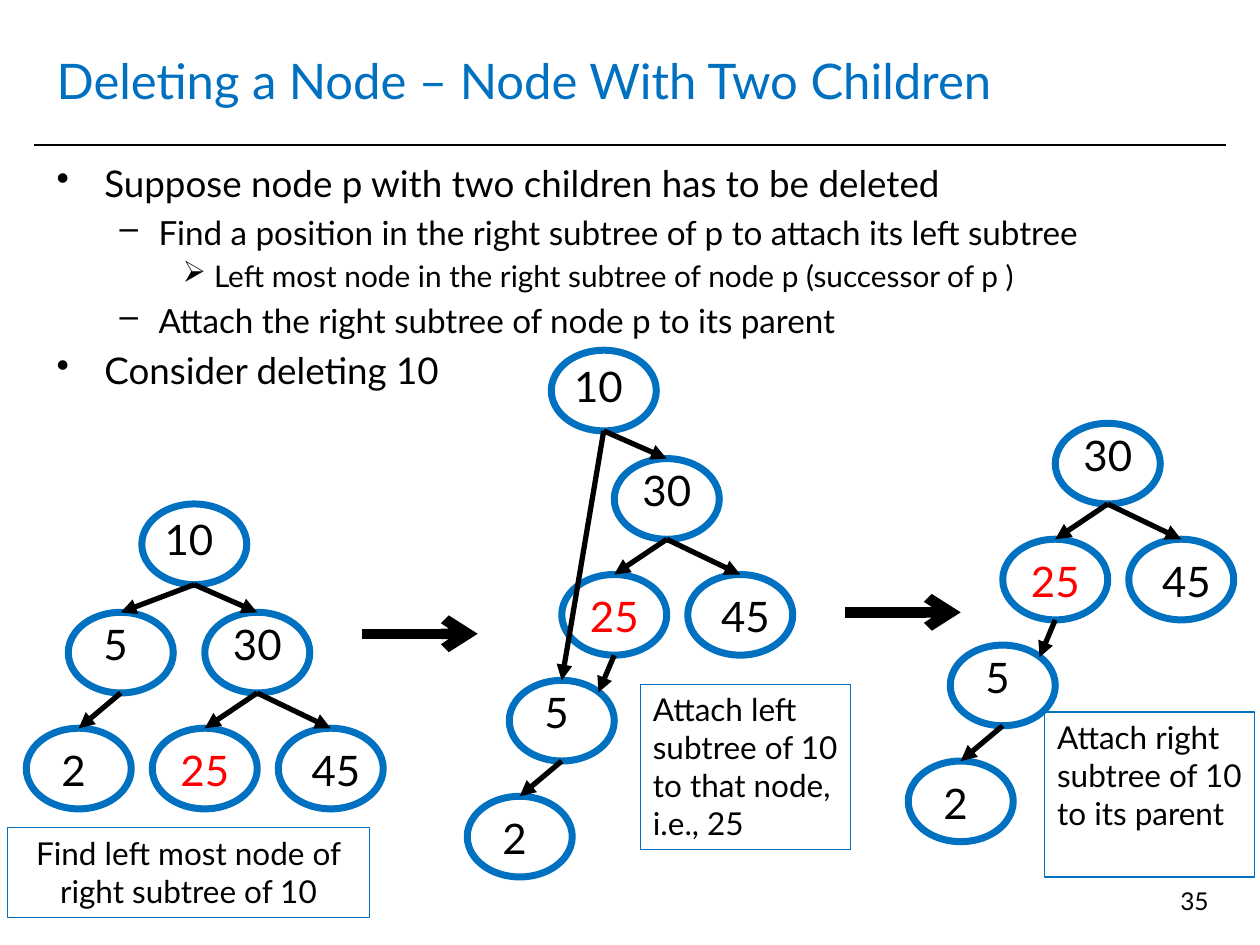
import pptx
import pptx.util
import pptx.dml.color
import pptx.enum.shapes
import pptx.enum.text
import pptx.oxml
import pptx.oxml.ns

Pt = pptx.util.Pt
Align = pptx.enum.text.PP_ALIGN
Anchor = pptx.enum.text.MSO_ANCHOR
Preset = pptx.enum.shapes.MSO_SHAPE

NODE_W, NODE_H = 20, 64
LABEL_H = 50
LABEL_BOXES = {
    "5": (4, 0, 10), "10": (2, 3, 14), "30": (2, 0, 16),
    "2": (4, 8, 10), "25": (2, 8, 16), "45": (4, 8, 14),
}
TOP, UPPER_RIGHT = (0.5, 0), (0.85, 0.15)


class TreeSlide:
    colours = {"blue": "0070C0", "black": "000000", "red": "FF0000"}
    font = "Lato"
    columns, rows = 240, 750

    def __init__(self, deck):
        self.col = deck.slide_width / self.columns
        self.row = deck.slide_height / self.rows
        self.slide = deck.slides.add_slide(deck.slide_layouts[5])
        self.shapes = self.slide.shapes

    def place(self, *spans):
        units = (self.col, self.row) * 2
        return [round(span * unit) for span, unit in zip(spans, units)]

    def colour(self, name):
        return pptx.dml.color.RGBColor.from_string(self.colours[name])

    def add_words(self, paragraph, words, size, colour="black", align=Align.LEFT):
        paragraph.alignment = align
        run = paragraph.add_run()
        run.text = words
        run.font.name = self.font
        run.font.size = Pt(size)
        run.font.color.rgb = self.colour(colour)

    def title(self, box, words):
        heading = self.shapes.title
        heading.left, heading.top, heading.width, heading.height = self.place(*box)
        heading.text_frame.vertical_anchor = Anchor.MIDDLE
        self.add_words(heading.text_frame.paragraphs[0], words, 28, "blue")

    def text(self, box, words, size, colour="black", align=Align.LEFT):
        frame = self.shapes.add_textbox(*self.place(*box)).text_frame
        frame.word_wrap = True
        self.add_words(frame.paragraphs[0], words, size, colour, align)

    def outline(self, preset, box, width):
        shape = self.shapes.add_shape(preset, *self.place(*box))
        shape.shadow.inherit = False
        shape.fill.background()
        shape.line.color.rgb = self.colour("blue")
        shape.line.width = Pt(width)
        return shape

    def caption(self, box, words, align=Align.LEFT):
        frame = self.outline(Preset.RECTANGLE, box, 0.75).text_frame
        frame.word_wrap = True
        frame.vertical_anchor = Anchor.TOP
        self.add_words(frame.paragraphs[0], words, 18, align=align)

    def line(self, start, end, width, head=None):
        straight = pptx.enum.shapes.MSO_CONNECTOR.STRAIGHT
        connector = self.shapes.add_connector(straight, *self.place(*start, *end))
        connector.line.color.rgb = self.colour("black")
        connector.line.width = Pt(width)
        properties = connector._element.spPr
        if head:
            properties.find(pptx.oxml.ns.qn("a:ln")).append(pptx.oxml.parse_xml(
                f'<a:tailEnd {pptx.oxml.ns.nsdecls("a")} type="{head}"/>'))
        properties.append(
            pptx.oxml.parse_xml(f'<a:effectLst {pptx.oxml.ns.nsdecls("a")}/>'))

    def bullets(self, box, items):
        styles = [("•", 0.38, 0.38, 21), ("–", 0.81, 0.31, 19), ("➢", 1.25, 0.25, 17)]
        frame = self.shapes.add_textbox(*self.place(*box)).text_frame
        frame.word_wrap = True
        for index, (level, words) in enumerate(items):
            mark, margin, hanging, size = styles[level]
            paragraph = frame.add_paragraph() if index else frame.paragraphs[0]
            paragraph.level = level
            paragraph.space_before = Pt(size * 0.2)
            self.add_words(paragraph, words, size)
            properties = paragraph._p.get_or_add_pPr()
            properties.set("marL", str(pptx.util.Inches(margin)))
            properties.set("indent", str(-pptx.util.Inches(hanging)))
            properties.append(pptx.oxml.parse_xml(
                f'<a:buChar {pptx.oxml.ns.nsdecls("a")} char="{mark}"/>'))

    def tree(self, nodes, edges):
        for left, top in nodes.values():
            self.outline(Preset.OVAL, (left, top, NODE_W, NODE_H), 4)
        for parent, child, (across, down) in edges:
            left, top = nodes[parent]
            start = (left + NODE_W / 2, top + NODE_H)
            left, top = nodes[child]
            end = (left + across * NODE_W, top + down * NODE_H)
            self.line(start, end, 3, "triangle")
        for value, (left, top) in nodes.items():
            across, down, width = LABEL_BOXES[value]
            box = (left + across, top + down, width, LABEL_H)
            self.text(box, value, 24, "red" if value == "25" else "black", Align.CENTER)

    def step_arrow(self, left, top):
        self.line((left, top), (left + 22, top), 6, "arrow")


def main():
    deck = pptx.Presentation()
    deck.slide_width = pptx.util.Inches(10)
    deck.slide_height = pptx.util.Inches(7.5)
    page = TreeSlide(deck)

    page.line((6.5, 115), (233.5, 115), 1)
    page.title((8.4, 21, 223, 85), "Deleting a Node – Node With Two Children")
    page.bullets((8.4, 123, 223, 559), [
        (0, "Suppose node p with two children has to be deleted"),
        (1, "Find a position in the right subtree of p to attach its left subtree"),
        (2, "Left most node in the right subtree of node p (successor of p )"),
        (1, "Attach the right subtree of node p to its parent"),
        (0, "Consider deleting 10"),
    ])
    page.text((176.6, 698, 56, 52), "35", 14, align=Align.RIGHT)

    right_subtree = [("30", "25", TOP), ("30", "45", TOP)]
    left_subtree = [("5", "2", TOP)]
    from_root = [("10", "30", TOP), ("10", "5", TOP)]
    attached = [("25", "5", UPPER_RIGHT)]

    page.tree({"10": (27, 400), "5": (13, 486), "30": (39, 486),
               "2": (5, 578), "25": (29, 578), "45": (53, 578)},
              left_subtree + right_subtree + from_root)
    page.step_arrow(69, 503)
    page.tree({"10": (105, 278), "5": (97, 540), "30": (117, 364),
               "2": (89, 632), "25": (107, 456), "45": (131, 456)},
              left_subtree + right_subtree + from_root + attached)
    page.caption((1.4, 657, 69, 71), "Find left most node of right subtree of 10",
                 Align.CENTER)
    page.caption((122, 543, 40, 131), "Attach left subtree of 10 to that node, i.e., 25")
    page.step_arrow(161, 486)
    page.tree({"5": (181, 512), "30": (201, 336), "2": (173, 604),
               "25": (191, 428), "45": (215, 428)},
              left_subtree + right_subtree + attached)
    page.caption((199, 565, 40, 131), "Attach right subtree of 10 to its parent")

    deck.save("out.pptx")


if __name__ == "__main__":
    main()
